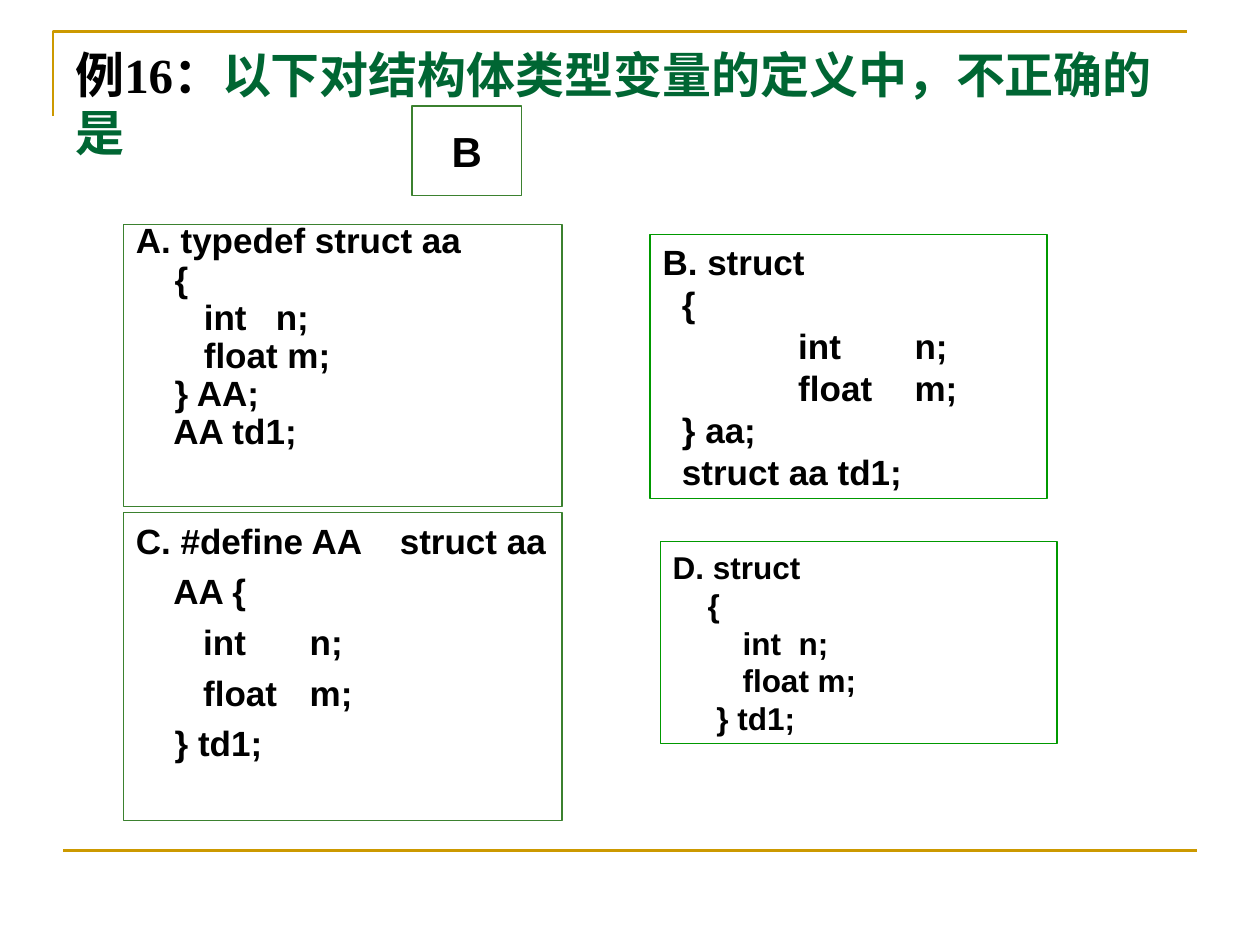
from dataclasses import dataclass

from lxml import etree
from pptx import Presentation
from pptx.dml.color import RGBColor
from pptx.enum.shapes import MSO_CONNECTOR, MSO_SHAPE
from pptx.enum.text import MSO_ANCHOR, MSO_AUTO_SIZE, PP_ALIGN
from pptx.oxml.ns import qn
from pptx.util import Inches, Pt

RECTANGLE = MSO_SHAPE.RECTANGLE
STRAIGHT = MSO_CONNECTOR.STRAIGHT
TOP, MIDDLE = MSO_ANCHOR.TOP, MSO_ANCHOR.MIDDLE
LEFT, CENTER = PP_ALIGN.LEFT, PP_ALIGN.CENTER
GROW, FIXED = MSO_AUTO_SIZE.SHAPE_TO_FIT_TEXT, MSO_AUTO_SIZE.NONE


@dataclass(frozen=True)
class Theme:
    gold: RGBColor = RGBColor(0xCC, 0x99, 0x00)
    black: RGBColor = RGBColor(0, 0, 0)
    title_green: RGBColor = RGBColor(0x00, 0x66, 0x33)
    dark_green: RGBColor = RGBColor(0x3B, 0x81, 0x2F)
    bright_green: RGBColor = RGBColor(0x00, 0x99, 0x00)
    title_font: str = "Times New Roman"
    body_font: str = "Arial"
    title_size: int = 28
    answer_size: int = 24
    code_size: int = 20
    small_code_size: int = 18
    rule_width: float = 1.5
    border_width: float = 0.75


THEME = Theme()


@dataclass(frozen=True)
class Box:
    left: float
    top: float
    width: float
    height: float
    lines: tuple[str, ...]
    border: RGBColor
    size: int = THEME.code_size
    hanging: float = 0
    space_before: float = 0
    line_spacing: float | None = None
    grows: bool = False
    wraps: bool = True
    anchor: MSO_ANCHOR = TOP
    alignment: PP_ALIGN = LEFT


BOXES = (
    Box(0.98, 1.78, 3.48, 2.24,
        ("A. typedef struct aa", "    {", "       int   n;", "       float m;",
         "    } AA;", "    AA td1;"),
        THEME.dark_green, hanging=0.38, space_before=5, line_spacing=0.7),
    Box(5.16, 1.86, 3.15, 2.1,
        ("B. struct", "  {", "\t int \tn;", "\t float \tm;", "  } aa;",
         "  struct aa td1;"),
        THEME.bright_green, grows=True),
    Box(0.98, 4.07, 3.48, 2.44,
        ("C. #define AA    struct aa", "    AA {", "\t  int \tn;", "\t  float \tm;",
         "    } td1;"),
        THEME.dark_green, hanging=0.38, space_before=5),
    Box(5.24, 4.3, 3.15, 1.6,
        ("D. struct", "    {", "        int\tn;", "        float m;", "     } td1;"),
        THEME.bright_green, size=THEME.small_code_size, grows=True),
    Box(3.27, 0.84, 0.87, 0.71, ("B",), THEME.dark_green, size=THEME.answer_size,
        wraps=False, anchor=MIDDLE, alignment=CENTER),
)


def add_run(paragraph, text: str, font: str, size: int, color: RGBColor) -> None:
    run = paragraph.add_run()
    run.text = text
    run.font.name = font
    run.font.size = Pt(size)
    run.font.bold = True
    run.font.color.rgb = color


def add_tab_stops(paragraph) -> None:
    tab_list = etree.SubElement(paragraph._p.get_or_add_pPr(), qn("a:tabLst"))
    for inch in range(8):
        etree.SubElement(tab_list, qn("a:tab"), pos=str(Inches(inch)), algn="l")


def add_frame_lines(slide) -> None:
    builder = slide.shapes.build_freeform(Inches(0.42), Inches(0.92))
    builder.add_line_segments(
        [(Inches(0.42), Inches(0.25)), (Inches(9.42), Inches(0.25))], close=False)
    corner = builder.convert_to_shape()
    corner.shadow.inherit = False
    corner.fill.background()
    footer = slide.shapes.add_connector(
        STRAIGHT, Inches(0.5), Inches(6.75), Inches(9.5), Inches(6.75))
    etree.SubElement(footer._element.spPr, qn("a:effectLst"))
    for shape in (corner, footer):
        shape.line.color.rgb = THEME.gold
        shape.line.width = Pt(THEME.rule_width)


def add_title(slide) -> None:
    title = slide.shapes.add_textbox(Inches(0.5), Inches(0.3), Inches(9), Inches(1.25))
    title.text_frame.word_wrap = True
    paragraph = title.text_frame.paragraphs[0]
    for text, color in (("例16：", THEME.black),
                        ("以下对结构体类型变量的定义中，不正确的是", THEME.title_green)):
        add_run(paragraph, text, THEME.title_font, THEME.title_size, color)


def add_box(slide, box: Box) -> None:
    shape = slide.shapes.add_shape(
        RECTANGLE, Inches(box.left), Inches(box.top), Inches(box.width), Inches(box.height))
    shape.shadow.inherit = False
    shape.fill.background()
    shape.line.color.rgb = box.border
    shape.line.width = Pt(THEME.border_width)
    frame = shape.text_frame
    frame.word_wrap = box.wraps
    frame.auto_size = GROW if box.grows else FIXED
    frame.vertical_anchor = box.anchor
    for index, line in enumerate(box.lines):
        paragraph = frame.add_paragraph() if index else frame.paragraphs[0]
        add_tab_stops(paragraph)
        paragraph.alignment = box.alignment
        paragraph.line_spacing = box.line_spacing
        if index and box.space_before:
            paragraph.space_before = Pt(box.space_before)
        if box.hanging:
            properties = paragraph._p.get_or_add_pPr()
            properties.set("marL", str(Inches(box.hanging)))
            properties.set("indent", str(-Inches(box.hanging)))
        add_run(paragraph, line, THEME.body_font, box.size, THEME.black)


def main() -> None:
    presentation = Presentation()
    presentation.slide_width = Inches(10)
    presentation.slide_height = Inches(7.5)
    slide = presentation.slides.add_slide(presentation.slide_layouts[6])
    add_frame_lines(slide)
    add_title(slide)
    for box in BOXES:
        add_box(slide, box)
    presentation.save("out.pptx")


if __name__ == "__main__":
    main()
